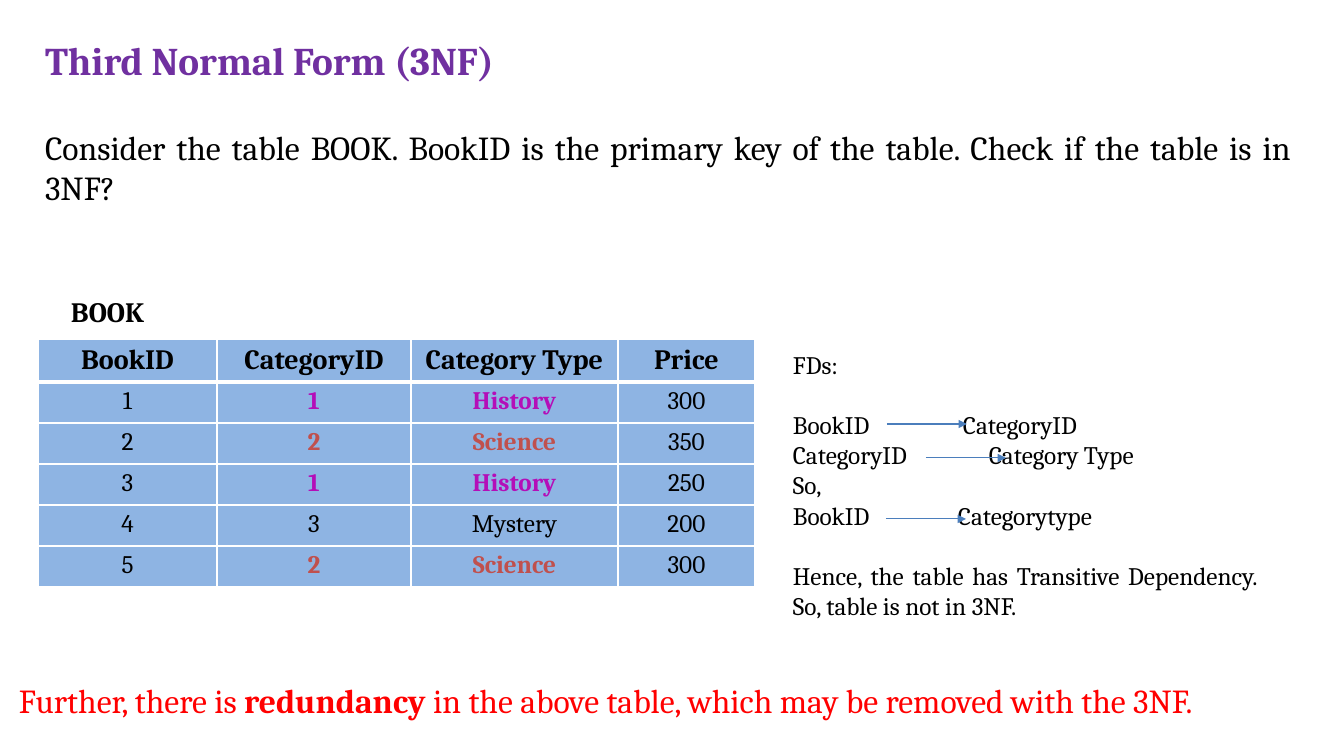
from lxml import etree
from pptx import Presentation
from pptx.dml.color import RGBColor
from pptx.enum.shapes import MSO_CONNECTOR
from pptx.enum.text import MSO_ANCHOR, MSO_AUTO_SIZE, PP_ALIGN
from pptx.oxml.ns import qn
from pptx.util import Pt

EMU_PER_PX = 914400 / 100.8
STRAIGHT = MSO_CONNECTOR.STRAIGHT
TOP = MSO_ANCHOR.TOP
NO_FIT = MSO_AUTO_SIZE.NONE
LEFT, CENTER, JUSTIFY = PP_ALIGN.LEFT, PP_ALIGN.CENTER, PP_ALIGN.JUSTIFY

COLORS = {
    "title": "7030A0",
    "text": "000000",
    "history": "B40EB8",
    "science": "C0504D",
    "cell": "8EB4E3",
    "border": "FFFFFF",
    "arrow": "4B7EBC",
    "remark": "FF0000",
}
BOOK_ROWS = [
    ("BookID", "CategoryID", "Category Type", "Price"),
    ("1", "1", "History", "300"),
    ("2", "2", "Science", "350"),
    ("3", "1", "History", "250"),
    ("4", "3", "Mystery", "200"),
    ("5", "2", "Science", "300"),
]
COLUMN_WIDTHS = (179, 194, 207, 137)
HEADER_HEIGHT, ROW_HEIGHT = 43, 41
LINE_GAP = 21.5
FD_LINES = [
    ("FDs:", LEFT, 0, None),
    ("BookID\tCategoryID", LEFT, LINE_GAP, 170),
    ("CategoryID\tCategory Type", LEFT, 0, 196),
    ("So,", LEFT, 0, None),
    ("BookID\tCategorytype", LEFT, 0, 165),
    ("Hence, the table has Transitive Dependency. So, table is not in 3NF.",
     JUSTIFY, LINE_GAP, None),
]
ARROW_STARTS = ((104, 80), (143, 114), (103, 175))
ARROW_LENGTH = 80


def px(length):
    return round(length * EMU_PER_PX)


def color(name):
    return RGBColor.from_string(COLORS[name])


def apply_format(target, values):
    for name, value in values.items():
        setattr(target, name, value)


def add_run(paragraph, text, size, color_name, bold=False):
    run = paragraph.add_run()
    run.text = text
    apply_format(run.font, {"name": "Cambria", "size": Pt(size), "bold": bold})
    run.font.color.rgb = color(color_name)


def set_frame(shape, inset_x=0, inset_y=0):
    apply_format(shape.text_frame, {
        "word_wrap": True,
        "auto_size": NO_FIT,
        "vertical_anchor": TOP,
        "margin_left": px(inset_x),
        "margin_right": px(inset_x),
        "margin_top": px(inset_y),
        "margin_bottom": px(inset_y),
    })
    return shape.text_frame


def add_text(slide, box, runs, align=LEFT, insets=(0, 0)):
    frame = set_frame(slide.shapes.add_textbox(*map(px, box)), *insets)
    paragraph = frame.paragraphs[0]
    paragraph.alignment = align
    for run in runs:
        add_run(paragraph, *run)


def place_title(slide, box):
    title = slide.shapes.title
    apply_format(title, dict(zip(("left", "top", "width", "height"), map(px, box))))
    paragraph = set_frame(title).paragraphs[0]
    paragraph.alignment = LEFT
    add_run(paragraph, "Third Normal Form (3NF)", 28, "title", True)


def set_borders(cell, widths):
    properties = cell._tc.get_or_add_tcPr()
    for index, (side, width) in enumerate(widths.items()):
        line = etree.Element(qn(f"a:ln{side}"), w=str(Pt(width)))
        fill = etree.SubElement(line, qn("a:solidFill"))
        etree.SubElement(fill, qn("a:srgbClr"), val=COLORS["border"])
        properties.insert(index, line)


def add_book_table(slide, box):
    table = slide.shapes.add_table(
        len(BOOK_ROWS), len(COLUMN_WIDTHS), *map(px, box)).table
    for column, width in zip(table.columns, COLUMN_WIDTHS):
        column.width = px(width)
    for row_index, values in enumerate(BOOK_ROWS):
        header = row_index == 0
        table.rows[row_index].height = px(HEADER_HEIGHT if header else ROW_HEIGHT)
        category = values[2].lower()
        for column_index, value in enumerate(values):
            cell = table.cell(row_index, column_index)
            set_borders(cell, {"L": 1, "R": 1, "T": 3 if row_index == 1 else 1,
                               "B": 3 if header else 1})
            cell.fill.solid()
            cell.fill.fore_color.rgb = color("cell")
            paragraph = cell.text_frame.paragraphs[0]
            paragraph.alignment = CENTER
            repeated = column_index in (1, 2) and category in COLORS
            add_run(paragraph, value, 20 if header else 18,
                    category if repeated else "text", header or repeated)


def add_arrow(slide, left, top):
    arrow = slide.shapes.add_connector(
        STRAIGHT, px(left), px(top), px(left + ARROW_LENGTH), px(top))
    arrow.line.color.rgb = color("arrow")
    arrow.line.width = Pt(0.75)
    etree.SubElement(arrow.line._get_or_add_ln(), qn("a:tailEnd"), type="triangle")
    etree.SubElement(arrow._element.spPr, qn("a:effectLst"))


def add_dependencies(slide, box):
    left, top, _, _ = box
    frame = set_frame(slide.shapes.add_textbox(*map(px, box)), 10, 5)
    for index, (text, align, gap, tab) in enumerate(FD_LINES):
        paragraph = frame.add_paragraph() if index else frame.paragraphs[0]
        if tab:
            tabs = etree.SubElement(paragraph._p.get_or_add_pPr(), qn("a:tabLst"))
            etree.SubElement(tabs, qn("a:tab"), pos=str(px(tab)), algn="l")
        apply_format(paragraph, {"alignment": align, "space_before": Pt(gap)})
        add_run(paragraph, text, 18, "text")
    for start_x, start_y in ARROW_STARTS:
        add_arrow(slide, left + start_x, top + start_y)


def build_normal_form_slide(presentation):
    slide = presentation.slides.add_slide(presentation.slide_layouts[5])
    place_title(slide, (45, 36, 1159, 47))
    add_text(slide, (45, 127, 1246, 82), [
        ("Consider the table BOOK. BookID is the primary key of the table. "
         "Check if the table is in 3NF?", 24, "text")], JUSTIFY)
    add_book_table(slide, (38, 339, sum(COLUMN_WIDTHS), 248))
    add_dependencies(slide, (783, 344, 484, 285))
    add_text(slide, (61, 289, 166, 44), [("BOOK", 20, "text", True)], insets=(10, 5))
    add_text(slide, (19, 680, 1298, 40), [
        ("Further, there is ", 24, "remark"),
        ("redundancy", 24, "remark", True),
        (" in the above table, which may be removed with the 3NF.", 24, "remark"),
    ], JUSTIFY)


def main():
    presentation = Presentation()
    presentation.slide_width = px(1344)
    presentation.slide_height = px(756)
    build_normal_form_slide(presentation)
    presentation.save("out.pptx")


if __name__ == "__main__":
    main()
